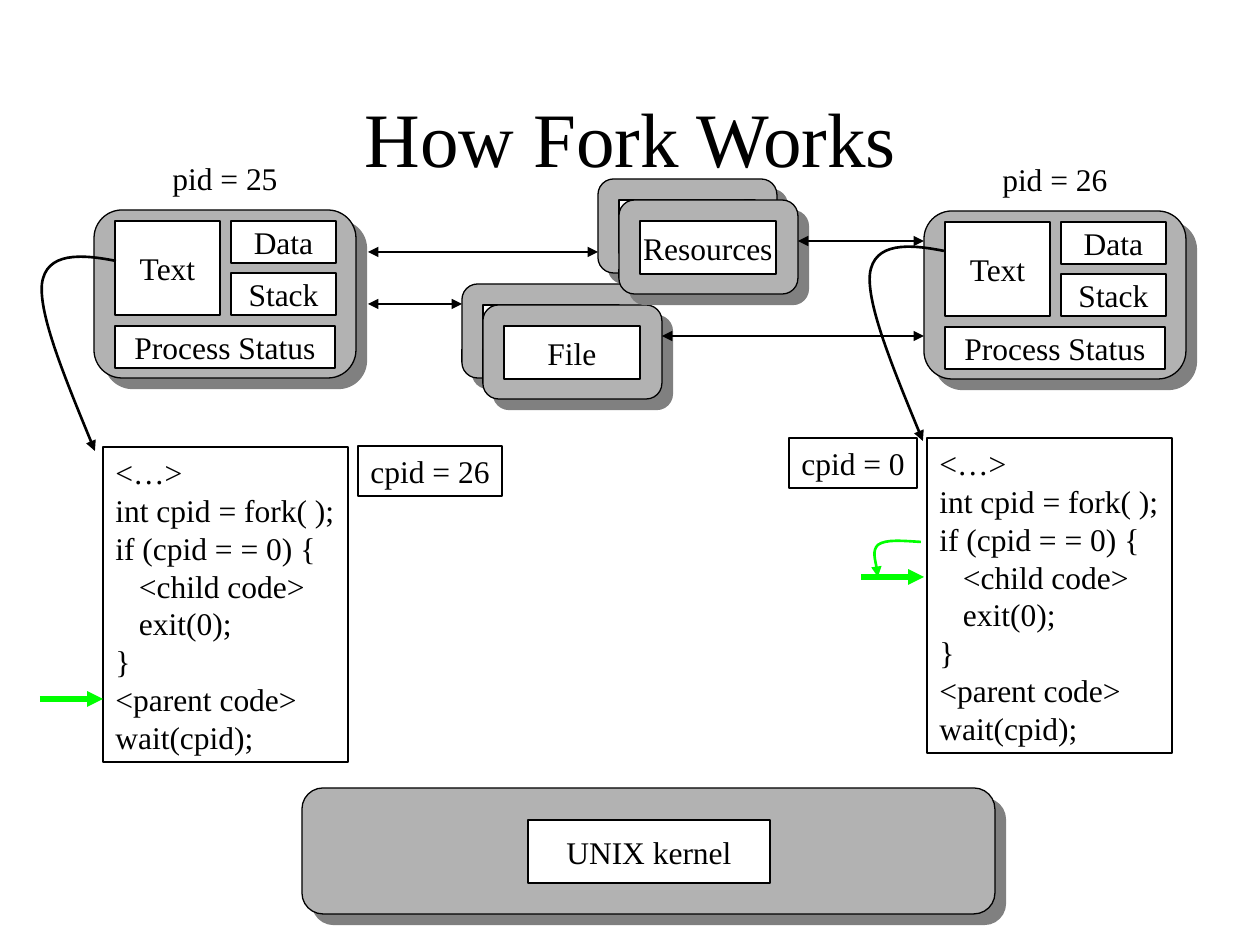
from lxml import etree
from pptx import Presentation
from pptx import util as u
from pptx.dml.color import RGBColor
from pptx.enum import shapes, text
from pptx.oxml.ns import qn

PX = 914400 // 126
FONT = "Times New Roman"
BLACK = RGBColor(0, 0, 0)
WHITE = RGBColor(255, 255, 255)
GRAY = RGBColor(0xB2, 0xB2, 0xB2)
GREEN = RGBColor(0, 255, 0)
SHADOW = "808080"

# Content: boxes are (left, top, width, height) in px
TITLE = ("How Fork Works", (95, 84, 1071, 105))
PROCESSES = [("pid = 25", 94, 210), ("pid = 26", 924, 211)]
PROCESS_SIZE = (262, 168)
PID_BOX = (61, -57, 140, 50)  # offset from the process corner, and size
PROCESS_PARTS = [  # offsets from the process corner
    ("Text", (21, 11, 105, 94)),
    ("Data", (137, 11, 105, 42)),
    ("Stack", (137, 63, 105, 42)),
    ("Process Status", (21, 116, 220, 42)),
]
STACKS = [("File", 462, 284), ("Resources", 598, 179)]
STACK_SIZE, STACK_LABEL_SIZE, STEP = (179, 94), (136, 53), 21
KERNEL = ("UNIX kernel", (302, 788, 693, 126), (528, 820, 242, 63))
CODE = [
    "<…>",
    "int cpid = fork( );",
    "if (cpid = = 0) {",
    "   <child code>",
    "   exit(0);",
    "}",
    "<parent code>",
    "wait(cpid);",
]
FRAMES = [
    (CODE, (103, 447, 245, 315)),
    (CODE, (927, 438, 245, 315)),
    (["cpid = 26"], (358, 446, 144, 50)),
    (["cpid = 0"], (789, 438, 128, 50)),
]
LINKS = [  # from x, to x, y
    (462, 368, 304),
    (598, 368, 252),
    (924, 662, 336),
    (924, 798, 241),
]
POINTERS = [(40, 103, 699), (861, 924, 577)]
TEXT_TO_CODE = [(0, 0), (-35, -7), (-70, -9), (-74, 23),
                (-77, 54), (-49, 122), (-21, 190)]
CHILD_JUMP = [(0, 0), (-18, -1), (-35, -3), (-43, 3),
              (-49, 9), (-43, 30), (-43, 35)]
CURVES = [
    ((116, 261), TEXT_TO_CODE, BLACK),
    ((944, 251), TEXT_TO_CODE, BLACK),
    ((921, 542), CHILD_JUMP, GREEN),
]

deck = Presentation()
deck.slide_width, deck.slide_height = u.Inches(10), u.Inches(7.5)
page = deck.slides.add_slide(deck.slide_layouts[6])


def emu(values):
    return [value * PX for value in values]


def write(shape, lines, size=18, align=text.PP_ALIGN.LEFT,
          anchor=text.MSO_ANCHOR.TOP, wrap=False):
    frame = shape.text_frame
    frame.word_wrap = wrap
    frame.vertical_anchor = anchor
    frame.text = "\n".join(lines)
    for para in frame.paragraphs:
        para.alignment = align
        para.font.name, para.font.size = FONT, u.Pt(size)
        para.font.color.rgb = BLACK


def add_box(box, fill=None, rounded=False):
    kind = shapes.MSO_SHAPE.ROUNDED_RECTANGLE if rounded else shapes.MSO_SHAPE.RECTANGLE
    shape = page.shapes.add_shape(kind, *emu(box))
    shape.shadow.inherit = False
    if fill is None:
        shape.fill.background()
    else:
        shape.fill.solid()
        shape.fill.fore_color.rgb = fill
    shape.line.color.rgb, shape.line.width = BLACK, u.Pt(0.75)
    return shape


def add_label(words, box):
    write(add_box(box, WHITE), [words], align=text.PP_ALIGN.CENTER,
          anchor=text.MSO_ANCHOR.MIDDLE)


def add_panel(box):
    panel = add_box(box, GRAY, rounded=True)
    effects = panel._element.spPr.find(qn("a:effectLst"))
    shadow = etree.SubElement(effects, qn("a:outerShdw"), dist=str(u.Pt(8.5)),
                              dir="2700000", algn="ctr", rotWithShape="0")
    etree.SubElement(shadow, qn("a:srgbClr"), val=SHADOW)


def style_line(shape, color, width, both_ends=False):
    shape.line.color.rgb, shape.line.width = color, u.Pt(width)
    line = shape.line._get_or_add_ln()
    for tag in ("a:headEnd", "a:tailEnd") if both_ends else ("a:tailEnd",):
        etree.SubElement(line, qn(tag), type="triangle")


def add_arrow(x1, x2, y, color, width, both_ends=False):
    arrow = page.shapes.add_connector(shapes.MSO_CONNECTOR.STRAIGHT,
                                      *emu((x1, y, x2, y)))
    style_line(arrow, color, width, both_ends)
    etree.SubElement(arrow._element.spPr, qn("a:effectLst"))


def add_curve(start, offsets, color):
    points = [(start[0] + dx, start[1] + dy) for dx, dy in offsets]
    builder = page.shapes.build_freeform(*points[0], scale=PX)
    builder.add_line_segments(points[1:], close=False)
    curve = builder.convert_to_shape()
    curve.shadow.inherit = False
    curve.fill.background()
    style_line(curve, color, 1.5)
    # Each three straight segments become one cubic Bézier
    segments = list(curve._element.iter(qn("a:lnTo")))
    outline = segments[0].getparent()
    for first in range(0, len(segments), 3):
        bezier = etree.SubElement(outline, qn("a:cubicBezTo"))
        for segment in segments[first:first + 3]:
            bezier.append(segment[0])
            outline.remove(segment)


# Title
words, box = TITLE
write(page.shapes.add_textbox(*emu(box)), [words], 44,
      text.PP_ALIGN.CENTER, text.MSO_ANCHOR.MIDDLE)

# Parent and child processes
for pid, left, top in PROCESSES:
    add_panel((left, top, *PROCESS_SIZE))
    for words, (dx, dy, width, height) in PROCESS_PARTS:
        add_label(words, (left + dx, top + dy, width, height))
    dx, dy, width, height = PID_BOX
    pid_box = page.shapes.add_textbox(*emu((left + dx, top + dy, width, height)))
    write(pid_box, [pid], align=text.PP_ALIGN.CENTER, wrap=True)

# Shared files and resources, two panels each
for words, left, top in STACKS:
    for shift in (0, STEP):
        x, y = left + shift, top + shift
        add_panel((x, y, *STACK_SIZE))
        add_label(words, (x + STEP, y + STEP, *STACK_LABEL_SIZE))

# Kernel
words, panel_box, label_box = KERNEL
add_panel(panel_box)
add_label(words, label_box)

# Code and variable frames
for lines, box in FRAMES:
    write(add_box(box), lines)

# Links, execution pointers and curves
for link in LINKS:
    add_arrow(*link, BLACK, 0.75, both_ends=True)
for pointer in POINTERS:
    add_arrow(*pointer, GREEN, 3)
for curve in CURVES:
    add_curve(*curve)

deck.save("out.pptx")
